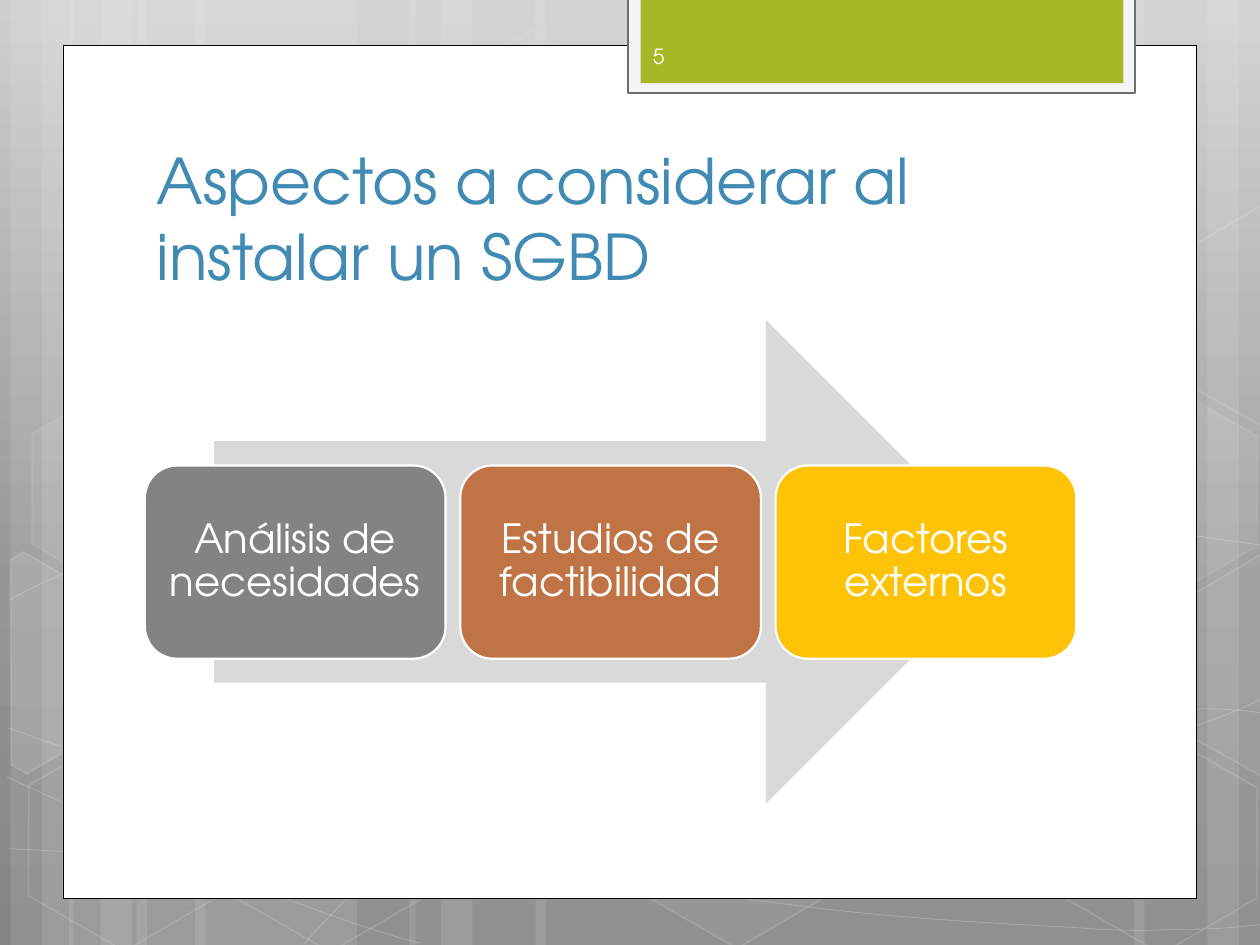
from copy import deepcopy
from math import cos, radians, sin
from typing import NamedTuple, Optional

from lxml.etree import SubElement
from pptx import Presentation
from pptx.dml.color import RGBColor
from pptx.enum.shapes import MSO_SHAPE as Shape
from pptx.enum.text import MSO_ANCHOR as Anchor, PP_ALIGN as Align
from pptx.oxml.ns import qn
from pptx.util import Pt

FONT = "TeX Gyre Adventor"
COLORS = {
    "white": "FFFFFF", "black": "000000", "title": "418AB3",
    "tab": "A6B727", "tab_frame": "F5F5F5", "tab_line": "6E6E6E", "number": "FEFEFE",
    "arrow": "D9D9D9", "gray": "838383", "brown": "C07445", "yellow": "FEC306",
}
BACKGROUND = [(0, "CFCFCF"), (0.62, "969696"), (1, "848484")]
TILT = 30

Point = tuple[float, float]


class Box(NamedTuple):
    left: float
    top: float
    width: float
    height: float


class Line(NamedTuple):
    color: str
    width: float
    opacity: int = 100


class Hexagon(NamedTuple):
    left: float
    top: float
    fill_opacity: int
    line_opacity: int


class CutHexagon(NamedTuple):
    center: Point
    points: list[Point]
    fill_opacity: int


class Card(NamedTuple):
    text: str
    color: str


STRIPES = [  # left, width
    (78, 126), (6, 36), (24, 60), (111.5, 126), (39.5, 36), (57.5, 60),
    (528, 126), (690, 36), (648, 60), (306, 222), (234, 36), (252, 60),
]

# Cubic Bézier chains: a start point, then two controls and an end per segment
CURVES = [
    [(5, 485), (44, 487), (83, 489), (137, 488), (191, 487), (258, 486), (330, 479),
     (402, 472), (504, 458), (570, 444), (636, 431), (703, 411), (725, 397)],
    [(5, 343), (26, 332), (47, 321), (87, 310), (128, 300), (186, 284), (250, 279),
     (314, 274), (392, 273), (471, 279), (550, 284), (682, 307), (725, 312)],
    [(4, 444), (91, 484), (178, 523), (240, 539)],
    [(5, 416), (27, 424), (50, 432), (92, 444), (134, 454), (197, 472), (257, 485),
     (317, 497), (392, 510), (452, 517), (512, 525), (576, 528), (614, 530),
     (652, 533), (662, 531), (680, 531), (699, 531), (712, 529), (725, 528)],
    [(174, 539), (187, 525), (200, 510), (217, 498), (235, 485), (259, 470), (279, 460),
     (299, 451), (312, 446), (338, 438), (364, 431), (413, 421), (438, 416),
     (464, 411), (467, 411), (490, 410), (512, 407), (547, 405), (572, 405),
     (597, 404), (638, 405), (638, 405), (654, 405), (670, 405), (686, 405),
     (699, 405), (711, 406), (718, 407), (724, 408), (722, 407), (724, 408)],
]

HEXAGONS = [
    Hexagon(240.5, 26, 4, 8), Hexagon(358, 424, 6, 12), Hexagon(8, 425.5, 0, 12),
    Hexagon(10, 224.5, 7, 8), Hexagon(125.5, 426, 0, 12), Hexagon(542, 326, 10, 12),
    Hexagon(600.5, 427, 0, 12), Hexagon(600.5, 226, 7, 8),
]

CUT_HEXAGONS = [
    CutHexagon((26, 385), [(6, 320.5), (13.5, 315.5), (69, 347), (68.5, 410.5), (14.5, 442), (6, 437)], 10),
    CutHexagon((709, 374.5), [(666.5, 349), (720.5, 317.5), (726.5, 321), (726.5, 441.5), (721.5, 444), (666.5, 412.5)], 4),
    CutHexagon((709, 173.5), [(666.5, 149), (720.5, 117.5), (727, 121), (726.5, 241), (721.5, 244), (666.5, 212.5)], 0),
]

CARDS = [
    Card("Análisis de necesidades", "gray"),
    Card("Estudios de factibilidad", "brown"),
    Card("Factores externos", "yellow"),
]
FIRST_CARD = Box(82.8, 266, 171.8, 110.4)
CARD_STEP = 180.2


def set_color(fill, color: str, opacity: int = 100) -> None:
    fill.solid()
    fill.fore_color.rgb = RGBColor.from_string(COLORS[color])
    if opacity < 100:
        solid = fill._xPr.find(qn("a:solidFill"))
        SubElement(solid[0], qn("a:alpha"), val=str(opacity * 1000))


def style(sp, fill: Optional[str], line: Optional[Line], opacity: int = 100) -> None:
    sp.shadow.inherit = False
    if fill and opacity:
        set_color(sp.fill, fill, opacity)
    else:
        sp.fill.background()
    if line:
        sp.line.width = Pt(line.width)
        set_color(sp.line.fill, line.color, line.opacity)
    else:
        sp.line.fill.background()


def add_shape(s, kind: Shape, box: Box, fill: str, line: Optional[Line] = None, opacity: int = 100):
    sp = s.shapes.add_shape(kind, *map(Pt, box))
    style(sp, fill, line, opacity)
    return sp


def add_outline(s, points: list[Point], closed: bool, line: Line, opacity: int = 0):
    builder = s.shapes.build_freeform(*points[0], scale=Pt(1) / 100 * 100)
    builder.add_line_segments(points[1:], close=closed)
    sp = builder.convert_to_shape()
    style(sp, "white", line, opacity)
    return sp


def add_curve(s, chain: list[Point]) -> None:
    """Draw the chain as lines, then join each three of them into one Bézier segment."""
    sp = add_outline(s, chain, False, Line("white", 0.5, 20))
    path = sp._element.find(".//" + qn("a:path"))
    segments = path.findall(qn("a:lnTo"))
    for i in range(0, len(segments), 3):
        bezier = SubElement(path, qn("a:cubicBezTo"))
        for segment in segments[i:i + 3]:
            bezier.append(segment[0])
            path.remove(segment)


def add_cut_hexagon(s, cut: CutHexagon) -> None:
    """Turn the points back by the tilt, so that the shape's own rotation restores them."""
    cx, cy = cut.center
    c, d = cos(radians(TILT)), sin(radians(TILT))
    upright = [(cx + (x - cx) * c + (y - cy) * d, cy - (x - cx) * d + (y - cy) * c) for x, y in cut.points]
    sp = add_outline(s, upright, True, Line("white", 1, 12), cut.fill_opacity)
    sp.rotation = TILT


def write(sp, text: str, size: float, color: str, anchor: Anchor, align: Align = Align.LEFT):
    tf = sp.text_frame
    tf.word_wrap = True
    tf.vertical_anchor = anchor
    p = tf.paragraphs[0]
    p.text = text
    p.alignment = align
    p.font.name, p.font.size = FONT, Pt(size)
    p.font.color.rgb = RGBColor.from_string(COLORS[color])
    return tf


def add_text(s, box: Box, text: str, size: float, color: str, anchor: Anchor) -> None:
    write(s.shapes.add_textbox(*map(Pt, box)), text, size, color, anchor)


def add_card(s, card: Card, box: Box) -> None:
    sp = add_shape(s, Shape.ROUNDED_RECTANGLE, box, card.color, Line("white", 1.25))
    tf = write(sp, card.text, 23, "white", Anchor.MIDDLE, Align.CENTER)
    tf.margin_left = tf.margin_right = tf.margin_top = tf.margin_bottom = Pt(7.2)
    tf.paragraphs[0].line_spacing = 0.9


def paint_background(s) -> None:
    fill = s.background.fill
    fill.gradient()
    fill.gradient_angle = 270
    stops = s._element.find(".//" + qn("a:gsLst"))
    stops.append(deepcopy(stops[0]))
    for stop, (position, color) in zip(fill.gradient_stops, BACKGROUND):
        stop.position = position
        stop.color.rgb = RGBColor.from_string(color)


def draw_backdrop(s) -> None:
    paint_background(s)
    for left, width in STRIPES:
        add_shape(s, Shape.RECTANGLE, Box(left, 0, width, 540), "white", opacity=10)
    for chain in CURVES:
        add_curve(s, chain)
    for h in HEXAGONS:
        sp = add_shape(s, Shape.HEXAGON, Box(h.left, h.top, 126, 109.5), "white",
                       Line("white", 1, h.line_opacity), h.fill_opacity)
        sp.adjustments[0] = 0.285
        sp.rotation = TILT
    for cut in CUT_HEXAGONS:
        add_cut_hexagon(s, cut)


def main() -> None:
    prs = Presentation()
    prs.slide_width, prs.slide_height = Pt(720), Pt(540)
    s = prs.slides.add_slide(prs.slide_layouts[6])
    draw_backdrop(s)
    add_shape(s, Shape.RECTANGLE, Box(36, 26, 648, 487.3), "white", Line("black", 0.5))
    add_shape(s, Shape.RECTANGLE, Box(359, -1.5, 289.8, 54.7), "tab_frame", Line("tab_line", 1.25))
    add_shape(s, Shape.RECTANGLE, Box(366, -1.5, 276, 49), "tab")
    add_text(s, Box(82.4, 80.9, 553, 90), "Aspectos a considerar al instalar un SGBD", 36, "title", Anchor.BOTTOM)
    add_shape(s, Shape.RIGHT_ARROW, Box(122.4, 183, 453.4, 276.2), "arrow")
    for i, card in enumerate(CARDS):
        add_card(s, card, FIRST_CARD._replace(left=FIRST_CARD.left + i * CARD_STEP))
    add_text(s, Box(366, 17.5, 105, 29), "5", 12, "number", Anchor.MIDDLE)
    prs.save("out.pptx")


if __name__ == "__main__":
    main()
